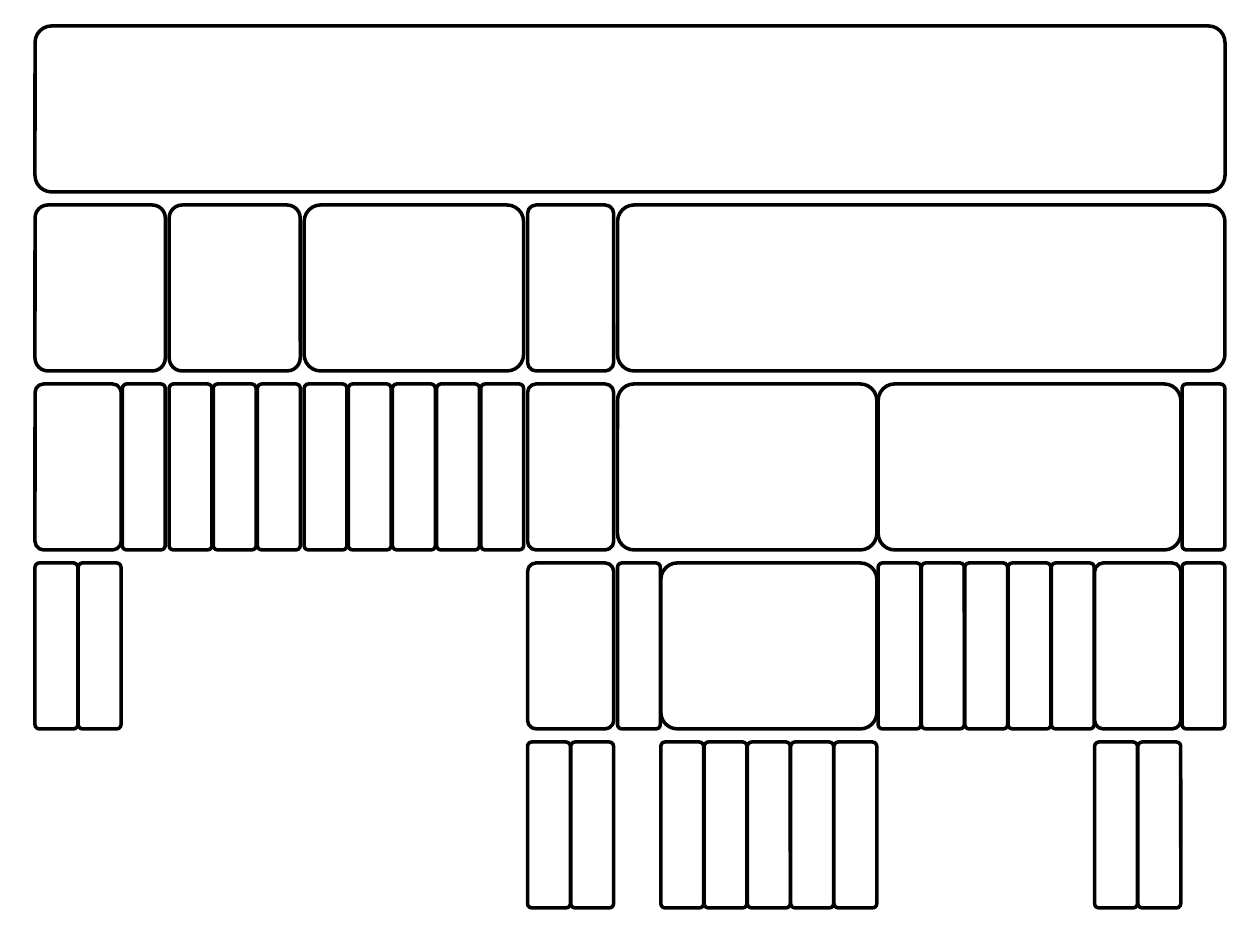
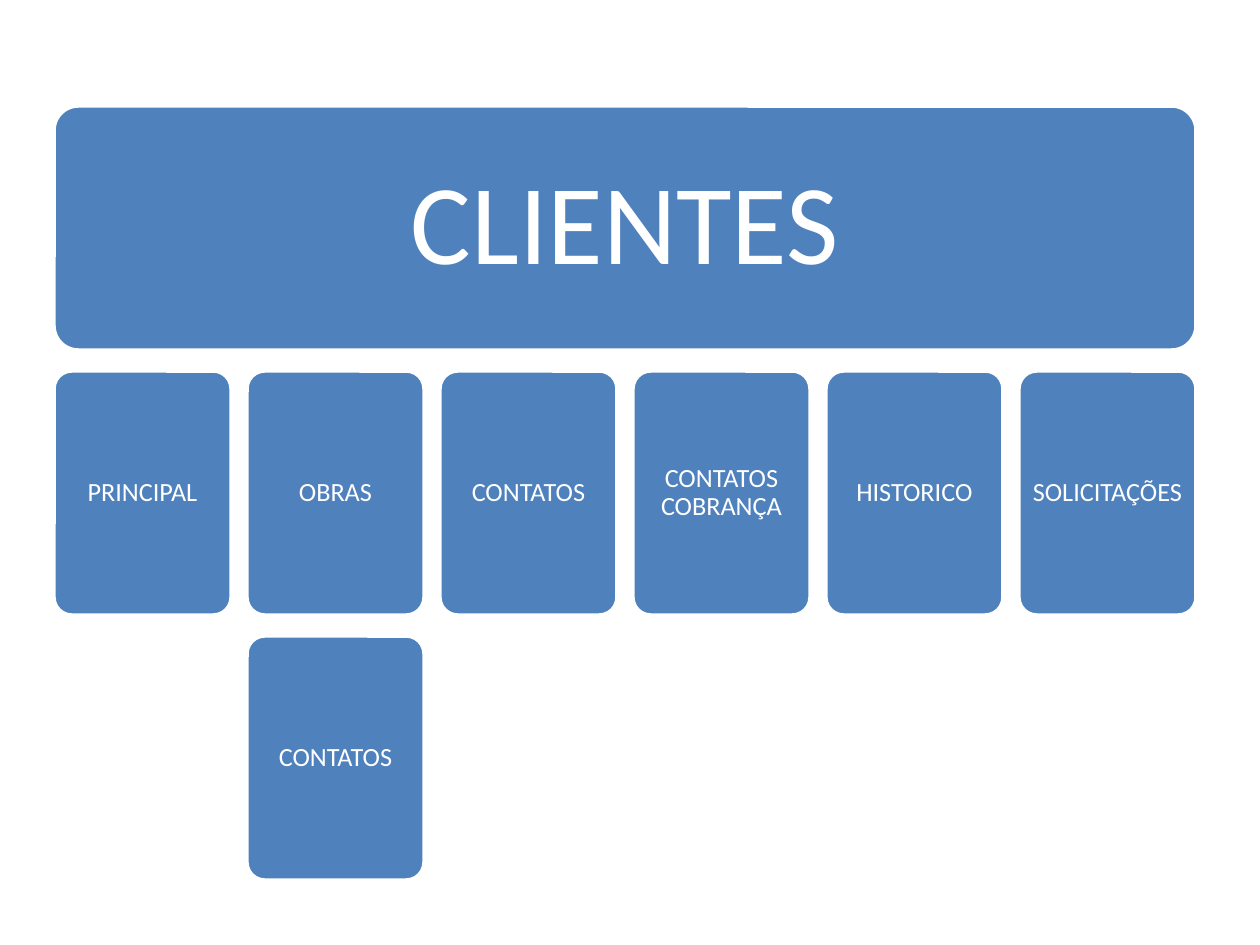
from dataclasses import dataclass, field

from pptx import Presentation
from pptx import util as u
from pptx.dml.color import RGBColor
from pptx.enum import shapes, text

PX = u.Inches(1) / 126
GAPS = {1: 0.09, 2: 0.03, 3: 0.01, 4: 0.01}
CORNER = 0.1
OUTLINE = {"fill": "FFFFFF", "line": "000000"}
SOLID = {"fill": "4F81BD", "line": "FFFFFF"}
FONT = {"name": "Calibri"}
FRAME = {"word_wrap": True, "vertical_anchor": text.MSO_ANCHOR.MIDDLE}
PARAGRAPH = {"alignment": text.PP_ALIGN.CENTER, "line_spacing": 0.9}
MARGINS = ("margin_left", "margin_top", "margin_right", "margin_bottom")


@dataclass
class Node:
    kids: list = field(default_factory=list)
    label: str = ""
    size: int = 15


def px(n):
    return u.Emu(round(n * PX))


def color(value):
    return RGBColor.from_string(value)


def assign(obj, values):
    for name, value in values.items():
        setattr(obj, name, value)


def leaves(count):
    return [Node() for _ in range(count)]


def span(node, depth=0):
    if not node.kids:
        return 1
    gaps = GAPS[depth + 1] * (len(node.kids) - 1)
    return gaps + sum(span(kid, depth + 1) for kid in node.kids)


def write_label(sp, node):
    tf = sp.text_frame
    assign(tf, FRAME | dict.fromkeys(MARGINS, px(3)))
    p = tf.paragraphs[0]
    assign(p, PARAGRAPH)
    r = p.add_run()
    r.text = node.label
    assign(r.font, FONT | {"size": u.Pt(node.size)})
    r.font.color.rgb = color("FFFFFF")


def add_card(slide, box, node, style):
    sp = slide.shapes.add_shape(
        shapes.MSO_SHAPE.ROUNDED_RECTANGLE, *map(px, box))
    sp.shadow.inherit = False
    sp.adjustments[0] = CORNER
    sp.fill.solid()
    sp.fill.fore_color.rgb = color(style["fill"])
    sp.line.color.rgb = color(style["line"])
    sp.line.width = u.Pt(2)
    if node.label:
        write_label(sp, node)


def add_tree(slide, node, box, pitch, style, depth=0):
    x, y, w, h = box
    add_card(slide, box, node, style)
    leaf = w / span(node, depth)
    for kid in node.kids:
        kid_w = leaf * span(kid, depth + 1)
        add_tree(slide, kid, (x, y + pitch, kid_w, h), pitch, style, depth + 1)
        x += kid_w + leaf * GAPS[depth + 1]


def outline_tree():
    pair = Node(leaves(2))
    return Node([
        Node([pair, Node()]),
        Node(leaves(3)),
        Node(leaves(5)),
        Node([Node([pair])]),
        Node([
            Node([Node(), Node(leaves(5))]),
            Node(leaves(5) + [pair]),
            Node(leaves(1)),
        ]),
    ])


def clients_tree():
    tabs = ["PRINCIPAL", "OBRAS", "CONTATOS", "CONTATOS COBRANÇA",
            "HISTORICO", "SOLICITAÇÕES"]
    children = {"OBRAS": [Node(label="CONTATOS")]}
    kids = [Node(children.get(tab, []), tab) for tab in tabs]
    return Node(kids, "CLIENTES", 65)


def main():
    prs = Presentation()
    prs.slide_width, prs.slide_height = u.Inches(10), u.Inches(7.5)
    charts = [
        (outline_tree(), (35, 26, 1190, 166), 179, OUTLINE),
        (clients_tree(), (54, 106, 1142, 244), 265, SOLID),
    ]
    for tree, box, pitch, style in charts:
        slide = prs.slides.add_slide(prs.slide_layouts[6])
        add_tree(slide, tree, box, pitch, style)
    prs.save("out.pptx")


if __name__ == "__main__":
    main()
